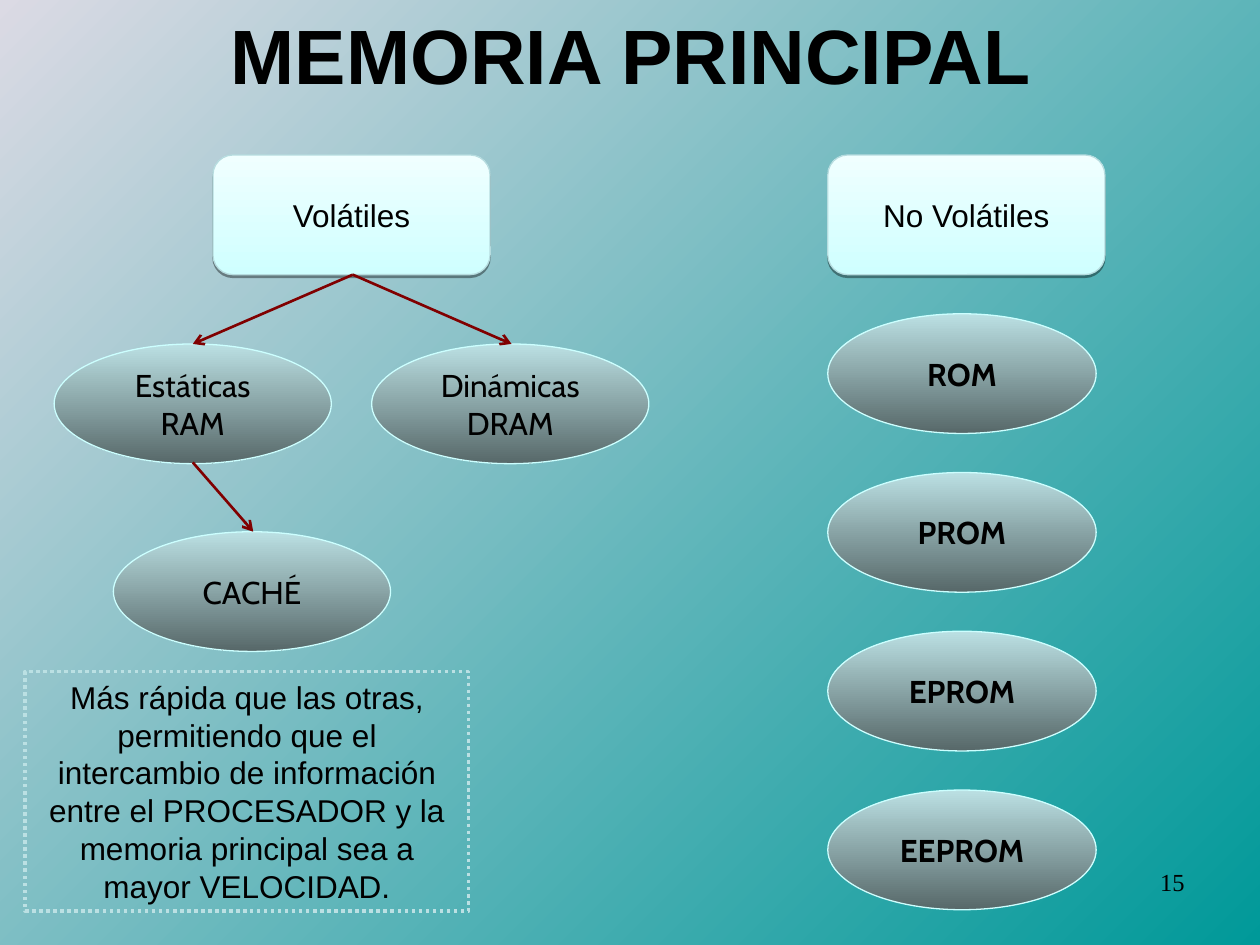
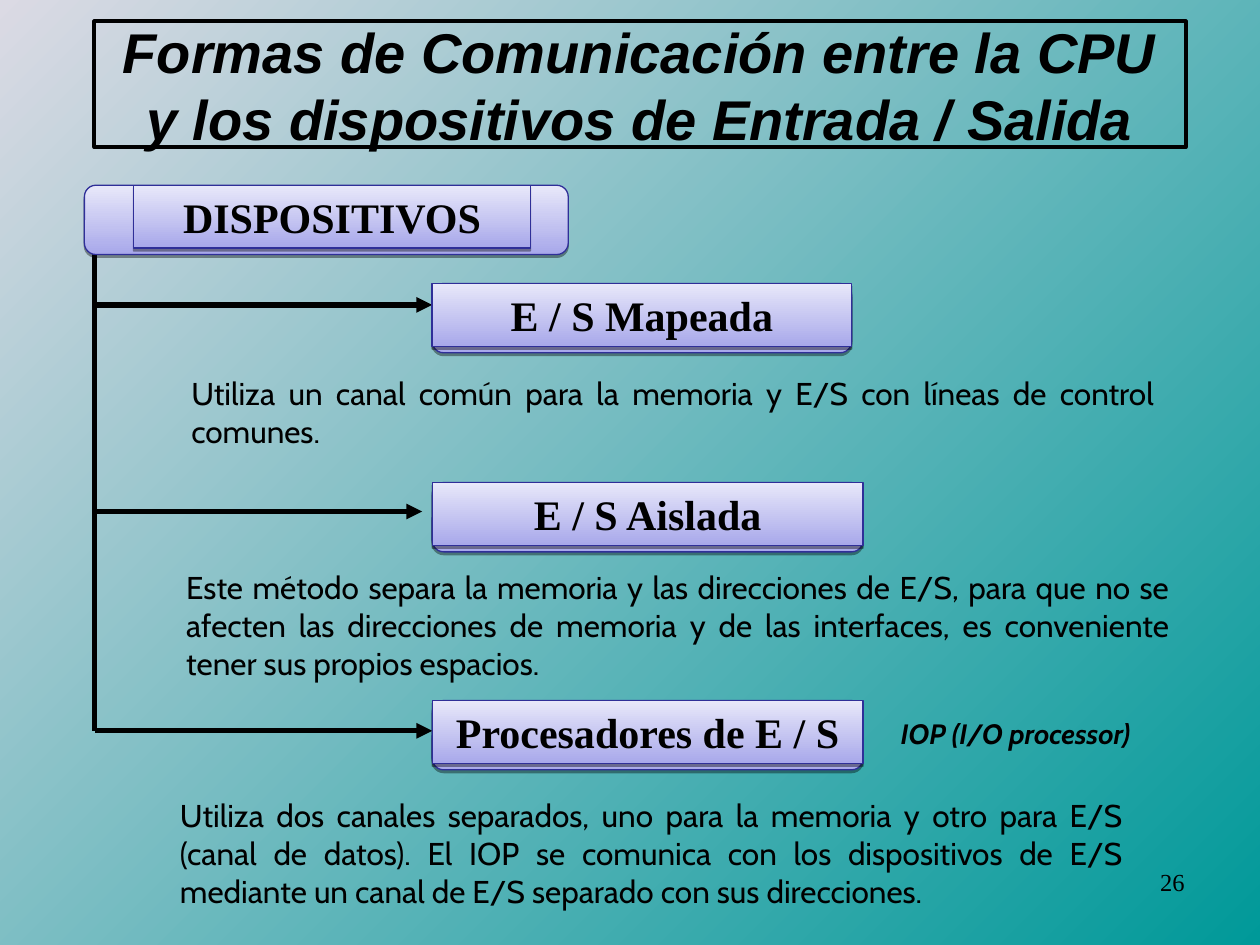
import lxml.etree
import pptx
import pptx.dml.color
import pptx.enum.dml
import pptx.enum.shapes
import pptx.enum.text
import pptx.oxml.ns
import pptx.util

Inches = pptx.util.Inches
Pt = pptx.util.Pt
RGB = pptx.dml.color.RGBColor.from_string
qn = pptx.oxml.ns.qn
sub = lxml.etree.SubElement
kinds = pptx.enum.shapes.MSO_SHAPE
align = pptx.enum.text.PP_ALIGN
anchor = pptx.enum.text.MSO_ANCHOR

# Shared colours and fonts
hues = {
    "black": "000000", "mist": "DBDAE4", "teal": "009999",
    "aqua": "BBE0E3", "slate": "576869", "rim": "CCFFFF",
    "ice": "CFFFFF", "frost": "F0FFFF", "edge": "B6DCDF",
    "lilac": "A8A8EA", "pale": "E8E8FA", "navy": "2F2F98",
    "red": "800000",
}
sans, body, serif = "Arial", "Cabin", "Times New Roman"


def box(slide, at, text="", kind=None, fade=None, turn=0, edge=None, thick=0.75,
        shade=False, font=sans, size=18, bold=False, slant=False,
        side=align.CENTER, mid=True, wrap=True):
    """Add a text box, or a shape when a kind is given."""
    spot = [Inches(v) for v in at]
    if kind is None:
        item = slide.shapes.add_textbox(*spot)
    else:
        item = slide.shapes.add_shape(kind, *spot)
        item.shadow.inherit = False
    if fade:
        item.fill.gradient()
        item.fill.gradient_angle = turn
        for stop, hue in zip(item.fill.gradient_stops, fade):
            stop.color.rgb = RGB(hues[hue])
    else:
        item.fill.background()
    if edge:
        item.line.color.rgb = RGB(hues[edge])
        item.line.width = Pt(thick)
    else:
        item.line.fill.background()
    if shade:
        glow = sub(item._element.spPr.find(qn("a:effectLst")), qn("a:outerShdw"),
                   blurRad="0", dist=str(Pt(1.6)), dir="5400000", rotWithShape="0")
        tint = sub(glow, qn("a:srgbClr"), val=hues["black"])
        sub(tint, qn("a:alpha"), val="38000")
    frame = item.text_frame
    frame.word_wrap = wrap
    frame.vertical_anchor = anchor.MIDDLE if mid else anchor.TOP
    for i, words in enumerate(text.split("\n") if text else []):
        para = frame.paragraphs[0] if i == 0 else frame.add_paragraph()
        para.alignment = side
        run = para.add_run()
        run.text = words
        run.font.name = font
        run.font.size = Pt(size)
        run.font.bold = bold
        run.font.italic = slant
        run.font.color.rgb = RGB(hues["black"])
    return item


def link(slide, x1, y1, x2, y2, hue, thick, head=None):
    """Add a straight line, with an arrowhead at its end if asked."""
    line = slide.shapes.add_connector(
        pptx.enum.shapes.MSO_CONNECTOR.STRAIGHT,
        Inches(x1), Inches(y1), Inches(x2), Inches(y2))
    line.line.color.rgb = RGB(hues[hue])
    line.line.width = Pt(thick)
    if head:
        sub(line.line._get_or_add_ln(), qn("a:tailEnd"), type=head)
    sub(line._element.spPr, qn("a:effectLst"))


deck = pptx.Presentation()
deck.slide_width = Inches(10)
deck.slide_height = Inches(7.5)

# Background and page number of both slides
pages = []
for number in ("15", "26"):
    slide = deck.slides.add_slide(deck.slide_layouts[6])
    back = slide.background.fill
    back.gradient()
    back.gradient_angle = 315
    for stop, hue in zip(back.gradient_stops, ("mist", "teal")):
        stop.color.rgb = RGB(hues[hue])
    box(slide, (7.17, 6.83, 2.33, 0.52), number, font=serif, size=14,
        side=align.RIGHT, mid=False)
    pages.append(slide)
memory, ports = pages

# Memory: title and the two families
box(memory, (0.51, 0, 9, 0.85), "MEMORIA PRINCIPAL", size=44, bold=True)
for left, name in ((1.69, "Volátiles"), (6.57, "No Volátiles")):
    box(memory, (left, 1.23, 2.2, 0.95), name, kinds.ROUNDED_RECTANGLE,
        ("ice", "frost"), 90, "edge", shade=True, wrap=False)

# Memory: ovals
ovals = [
    (0.43, 2.73, 2.2, "Estáticas\nRAM", False),
    (2.95, 2.73, 2.2, "Dinámicas\nDRAM", False),
    (0.9, 4.22, 2.2, "CACHÉ", False),
]
for i, name in enumerate(("ROM", "PROM", "EPROM", "EEPROM")):
    ovals.append((6.57, 2.49 + 1.26 * i, 2.13, name, True))
for left, top, width, name, bold in ovals:
    box(memory, (left, top, width, 0.95), name, kinds.OVAL, ("aqua", "slate"),
        270, "rim", font=body, bold=bold, wrap=False)

# Memory: arrows and the note on the cache
for ends in ((2.8, 2.18, 1.53, 2.73), (2.8, 2.18, 4.06, 2.73),
             (1.53, 3.67, 2.01, 4.22)):
    link(memory, *ends, "red", 1.5, "arrow")
note = box(memory, (0.2, 5.33, 3.52, 1.9),
           "Más rápida que las otras, permitiendo que el intercambio de "
           "información entre el PROCESADOR y la memoria principal sea a "
           "mayor VELOCIDAD.", kinds.RECTANGLE, edge="aqua", thick=2)
note.line.dash_style = pptx.enum.dml.MSO_LINE.ROUND_DOT

# Ports: title
box(ports, (0.75, 0.17, 8.66, 1),
    "Formas de Comunicación entre la CPU y los dispositivos de Entrada / Salida",
    kinds.RECTANGLE, edge="black", thick=2.25, size=32, bold=True, slant=True)

# Ports: rail with a branch to each method
rail = 0.75
for top, turn, tip in ((1.86, 2.42, 3.43), (2.42, 4.06, 3.35), (4, 5.8, 3.43)):
    link(ports, rail, top, rail, turn, "black", 3)
    link(ports, rail, turn, tip, turn, "black", 3, "triangle")

# Ports: plates, each a rounded base under a labelled face
for left, top, width, inset, face, name in (
        (0.67, 1.47, 3.84, 0.39, 3.15, "DISPOSITIVOS"),
        (3.43, 2.25, 3.33, 0, 3.33, "E / S Mapeada"),
        (3.43, 3.83, 3.42, 0, 3.42, "E / S Aislada"),
        (3.43, 5.56, 3.42, 0, 3.42, "Procesadores de E / S")):
    for kind, x, wide, high, words in (
            (kinds.ROUNDED_RECTANGLE, left, width, 0.55, ""),
            (kinds.RECTANGLE, left + inset, face, 0.5, name)):
        box(ports, (x, top, wide, high), words, kind, ("lilac", "pale"), 90,
            "navy", shade=True, font=serif, size=24, bold=True, mid=False)

# Ports: explanations
for at, words in (
        ((1.42, 2.92, 7.84, 0.7),
         "Utiliza un canal común para la memoria y E/S con líneas de control "
         "comunes."),
        ((1.38, 4.46, 8, 1),
         "Este método separa la memoria y las direcciones de E/S, para que no "
         "se afecten las direcciones de memoria y de las interfaces, es "
         "conveniente tener sus propios espacios."),
        ((1.33, 6.27, 7.68, 1),
         "Utiliza dos canales separados, uno para la memoria y otro para E/S "
         "(canal de datos). El IOP se comunica con los dispositivos de E/S "
         "mediante un canal de E/S separado con sus direcciones.")):
    box(ports, at, words, font=body, side=align.JUSTIFY, mid=False)
box(ports, (7.05, 5.64, 2.68, 0.37), "IOP (I/O processor)", font=body, size=16,
    bold=True, slant=True, side=align.LEFT, mid=False)

deck.save("out.pptx")
